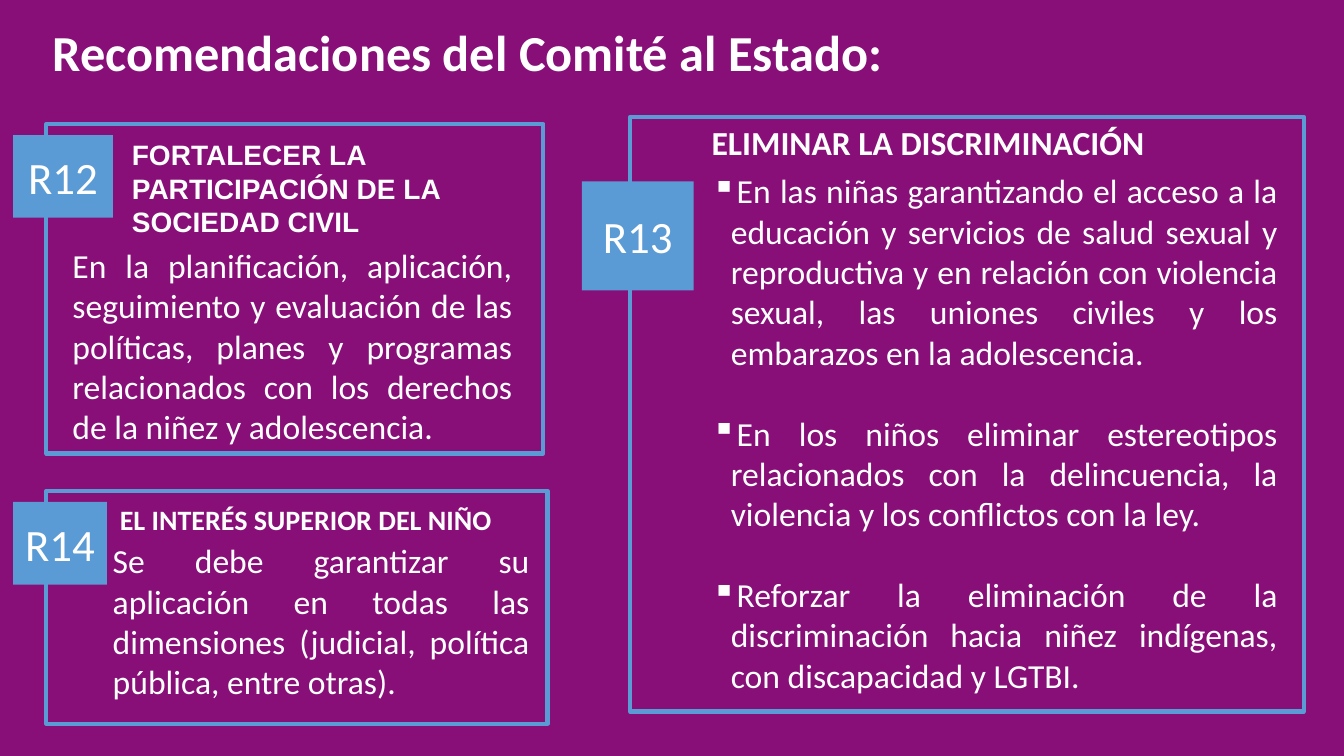
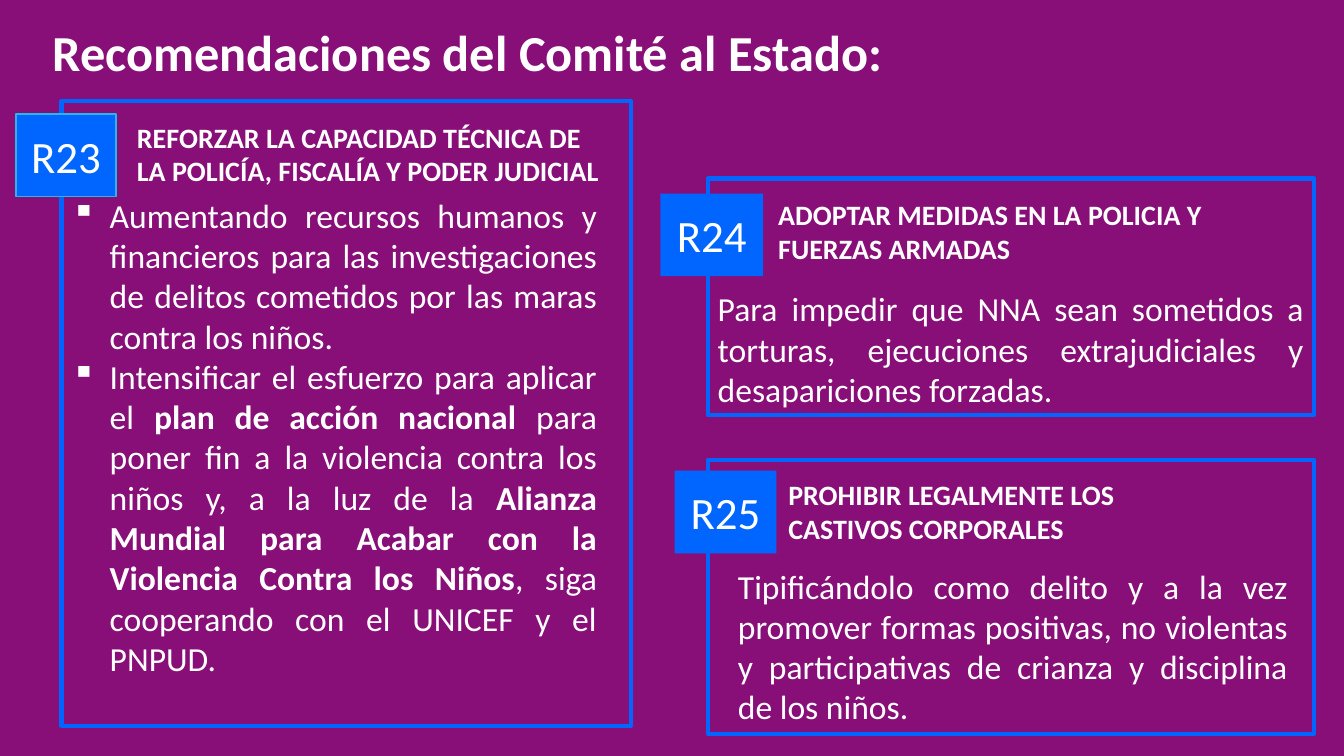
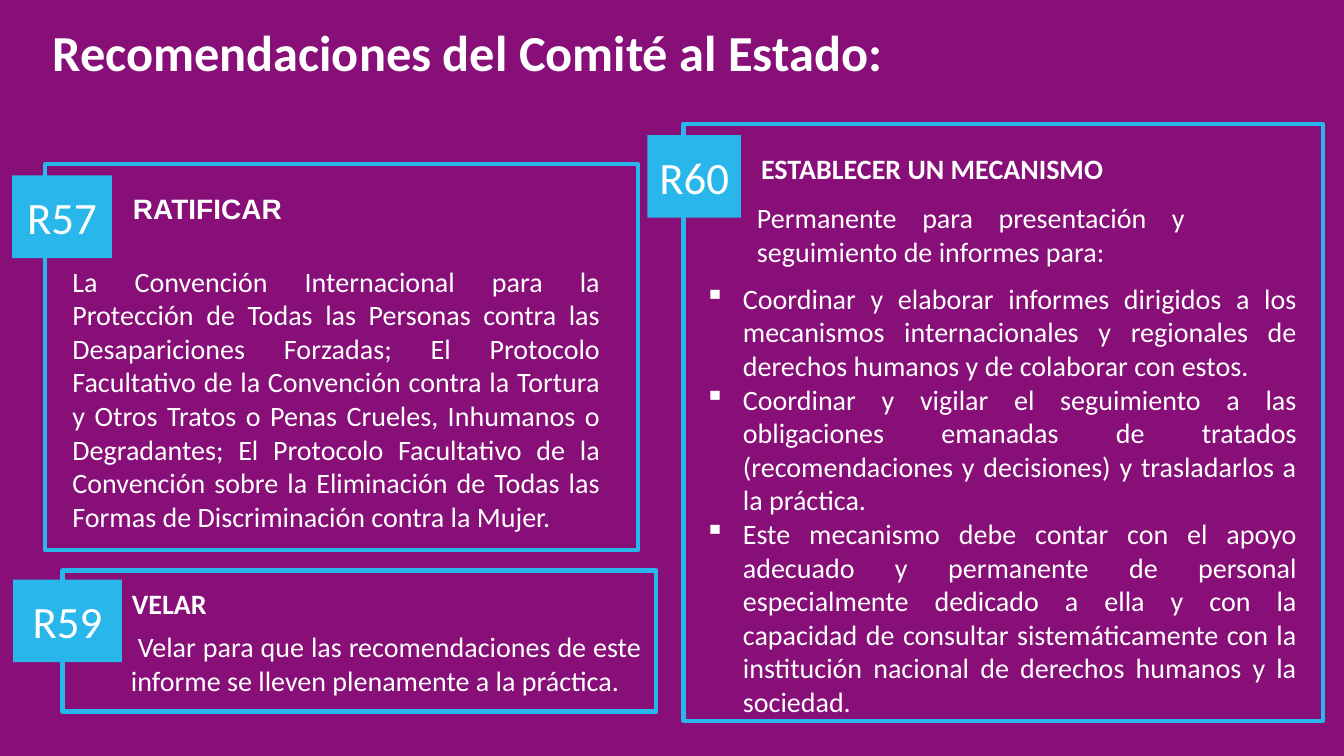
from dataclasses import dataclass

from lxml import etree
from pptx import Presentation
from pptx.dml.color import RGBColor
from pptx.enum.shapes import MSO_SHAPE
from pptx.enum.text import MSO_ANCHOR, MSO_AUTO_SIZE, PP_ALIGN
from pptx.oxml.ns import qn
from pptx.util import Inches, Pt

RECTANGLE = MSO_SHAPE.RECTANGLE
TOP, MIDDLE = MSO_ANCHOR.TOP, MSO_ANCHOR.MIDDLE
LEFT, CENTER, JUSTIFY = PP_ALIGN.LEFT, PP_ALIGN.CENTER, PP_ALIGN.JUSTIFY
NO_AUTOFIT = MSO_AUTO_SIZE.NONE

COLORS = {
    "background": "880E78",
    "text": "FFFFFF",
    "steel": "5B9BD5",
    "blue": "0066FF",
    "sky": "29B7EB",
}
TITLE = "Recomendaciones del Comité al Estado:"
TITLE_BOX = (0.42, 0.16, 9, 0.71)
TITLE_LAYOUT = 5
BOLD_MARK = "**"


@dataclass
class Body:
    box: tuple
    paragraphs: list
    size: int = 24
    indent: float = 0
    gap: float = 0


@dataclass
class Card:
    box: tuple
    code: str
    badge: tuple
    heading: str
    heading_box: tuple
    bodies: list
    heading_font: str = "Calibri"
    heading_size: int = 20
    badge_line: str = ""


def color(name):
    return RGBColor.from_string(COLORS[name])


def inches(box):
    return [Inches(value) for value in box]


def inside(card, box):
    left, top, width, height = box
    return card.box[0] + left, card.box[1] + top, width, height


def style(paragraph, size, font="Calibri", bold=False, align=LEFT):
    paragraph.alignment = align
    paragraph.font.name = font
    paragraph.font.size = Pt(size)
    paragraph.font.bold = bold
    paragraph.font.color.rgb = color("text")


def add_bullet(paragraph, indent):
    properties = paragraph._p.get_or_add_pPr()
    properties.set("marL", str(Inches(indent)))
    properties.set("indent", str(-Inches(indent)))
    etree.SubElement(properties, qn("a:buChar")).set("char", "▪")


def add_rectangle(slide, box):
    shape = slide.shapes.add_shape(RECTANGLE, *inches(box))
    shape.shadow.inherit = False
    return shape


def add_text_frame(slide, box, anchor):
    frame = slide.shapes.add_textbox(*inches(box)).text_frame
    frame.word_wrap = True
    frame.vertical_anchor = anchor
    return frame


def add_frame(slide, box, accent):
    shape = add_rectangle(slide, box)
    shape.fill.background()
    shape.line.color.rgb = color(accent)
    shape.line.width = Pt(3)


def add_badge(slide, card, accent):
    shape = add_rectangle(slide, inside(card, card.badge))
    shape.fill.solid()
    shape.fill.fore_color.rgb = color(accent)
    if card.badge_line:
        shape.line.color.rgb = color(card.badge_line)
        shape.line.width = Pt(1)
    else:
        shape.line.fill.background()
    shape.text_frame.vertical_anchor = MIDDLE
    paragraph = shape.text_frame.paragraphs[0]
    paragraph.text = card.code
    style(paragraph, 32, align=CENTER)


def add_heading(slide, card):
    frame = add_text_frame(slide, inside(card, card.heading_box), MIDDLE)
    paragraph = frame.paragraphs[0]
    paragraph.text = card.heading
    style(paragraph, card.heading_size, card.heading_font, bold=True)


def add_body(slide, card, body):
    frame = add_text_frame(slide, inside(card, body.box), TOP)
    for index, text in enumerate(body.paragraphs):
        paragraph = frame.add_paragraph() if index else frame.paragraphs[0]
        if body.indent:
            add_bullet(paragraph, body.indent)
        if index and body.gap:
            paragraph.space_before = Pt(body.gap)
        style(paragraph, body.size, align=JUSTIFY)
        for position, part in enumerate(text.split(BOLD_MARK)):
            run = paragraph.add_run()
            run.text = part
            if position % 2:
                run.font.bold = True


def add_card(slide, card, accent):
    add_frame(slide, card.box, accent)
    add_badge(slide, card, accent)
    add_heading(slide, card)
    for body in card.bodies:
        add_body(slide, card, body)


def add_title(slide):
    title = slide.shapes.title
    title.left, title.top, title.width, title.height = inches(TITLE_BOX)
    frame = title.text_frame
    frame.auto_size = NO_AUTOFIT
    frame.vertical_anchor = TOP
    paragraph = frame.paragraphs[0]
    paragraph.text = TITLE
    style(paragraph, 36, bold=True)


def add_recommendations(presentation, accent, cards):
    slide = presentation.slides.add_slide(presentation.slide_layouts[TITLE_LAYOUT])
    add_title(slide)
    for card in cards:
        add_card(slide, card, accent)


PARTICIPATION = Card(
    (0.46, 1.23, 4.93, 3.27), "R12", (-0.33, 0.11, 0.99, 0.82),
    "FORTALECER LA PARTICIPACIÓN DE LA SOCIEDAD CIVIL",
    (0.75, 0.08, 3.97, 1.11),
    [Body((0.16, 1.15, 4.56, 2.12), [
        "En la planificación, aplicación, seguimiento y evaluación de las políticas, "
        "planes y programas relacionados con los derechos de la niñez y adolescencia.",
    ])],
    heading_font="Arial",
)
DISCRIMINATION = Card(
    (6.25, 1.16, 6.68, 5.9), "R13", (-0.48, 0.64, 1.11, 1.08),
    "ELIMINAR LA DISCRIMINACIÓN", (0.71, 0, 5.34, 0.5),
    [Body((0.71, 0.48, 5.81, 5.35), [
        "En las niñas garantizando el acceso a la educación y servicios de salud sexual "
        "y reproductiva y en relación con violencia sexual, las uniones civiles y los "
        "embarazos en la adolescencia.",
        "En los niños eliminar estereotipos relacionados con la delincuencia, la "
        "violencia y los conflictos con la ley.",
        "Reforzar la eliminación de la discriminación hacia niñez indígenas, con "
        "discapacidad y LGTBI.",
    ], indent=0.19, gap=29)],
    heading_size=24,
)
BEST_INTEREST = Card(
    (0.46, 4.87, 4.97, 2.31), "R14", (-0.33, 0.11, 0.93, 0.82),
    "EL INTERÉS SUPERIOR DEL NIÑO", (0.63, 0.06, 4.01, 0.44),
    [Body((0.56, 0.44, 4.33, 1.72), [
        "Se debe garantizar su aplicación en todas las dimensiones (judicial, política "
        "pública, entre otras).",
    ])],
)
JUSTICE_CAPACITY = Card(
    (0.61, 1, 5.65, 6.2), "R23", (-0.45, 0.13, 0.99, 0.82),
    "REFORZAR LA CAPACIDAD TÉCNICA DE LA POLICÍA, FISCALÍA Y PODER JUDICIAL",
    (0.65, 0.14, 4.84, 0.77),
    [Body((0, 0.88, 5.41, 4.95), [
        "Aumentando recursos humanos y financieros para las investigaciones de delitos "
        "cometidos por las maras contra los niños.",
        "Intensificar el esfuerzo para aplicar el **plan de acción nacional **para poner "
        "fin a la violencia contra los niños y, a la luz de la **Alianza Mundial para "
        "Acabar con la Violencia Contra los Niños**, siga cooperando con el UNICEF y el "
        "PNPUD.",
    ], indent=0.38)],
    badge_line="sky",
)
ARMED_FORCES = Card(
    (7.02, 1.77, 6.01, 2.35), "R24", (-0.47, 0.15, 1.02, 0.82),
    "ADOPTAR MEDIDAS EN LA POLICIA Y FUERZAS ARMADAS", (0.6, 0.14, 5.3, 0.77),
    [Body((0, 1.04, 6.01, 1.31), [
        "Para impedir que NNA sean sometidos a torturas, ejecuciones extrajudiciales y "
        "desapariciones forzadas.",
    ])],
)
CORPORAL_PUNISHMENT = Card(
    (7.02, 4.56, 6.01, 2.72), "R25", (-0.33, 0.11, 1.01, 0.82),
    "PROHIBIR LEGALMENTE LOS CASTIVOS CORPORALES", (0.7, 0.13, 4.27, 0.77),
    [Body((0.2, 1, 5.65, 1.72), [
        "Tipificándolo como delito y a la vez promover formas positivas, no violentas y "
        "participativas de crianza y disciplina de los niños.",
    ])],
)
RATIFICATION = Card(
    (0.45, 1.63, 5.88, 3.83), "R57", (-0.33, 0.11, 0.99, 0.82),
    "RATIFICAR", (0.77, 0.22, 4.79, 0.44),
    [Body((0.17, 0.94, 5.43, 2.79), [
        "La Convención Internacional para la Protección de Todas las Personas contra las "
        "Desapariciones Forzadas; El Protocolo Facultativo de la Convención contra la "
        "Tortura y Otros Tratos o Penas Crueles, Inhumanos o Degradantes; El Protocolo "
        "Facultativo de la Convención sobre la Eliminación de Todas las Formas de "
        "Discriminación contra la Mujer.",
    ], size=20)],
    heading_font="Arial",
)
OVERSIGHT = Card(
    (0.62, 5.66, 5.89, 1.4), "R59", (-0.49, 0.09, 1.08, 0.82),
    "VELAR", (0.59, 0.11, 3.97, 0.44),
    [Body((0.58, 0.54, 5.26, 0.77), [
        " Velar para que las recomendaciones de este informe se lleven plenamente a la "
        "práctica.",
    ], size=20)],
)
MECHANISM = Card(
    (6.78, 1.23, 6.34, 5.92), "R60", (-0.36, 0.11, 0.93, 0.82),
    "ESTABLECER UN MECANISMO", (0.67, 0.22, 4.27, 0.44),
    [
        Body((0.63, 0.71, 4.44, 0.77), [
            "Permanente para presentación y seguimiento de informes para:",
        ], size=20),
        Body((0.11, 1.51, 6.07, 4.48), [
            "Coordinar y elaborar informes dirigidos a los mecanismos internacionales y "
            "regionales de derechos humanos y de colaborar con estos.",
            "Coordinar y vigilar el seguimiento a las obligaciones emanadas de tratados "
            "(recomendaciones y decisiones) y trasladarlos a la práctica.",
            "Este mecanismo debe contar con el apoyo adecuado y permanente de personal "
            "especialmente dedicado a ella y con la capacidad de consultar "
            "sistemáticamente con la institución nacional de derechos humanos y la "
            "sociedad.",
        ], size=20, indent=0.38),
    ],
)
SLIDES = [
    ("steel", [PARTICIPATION, DISCRIMINATION, BEST_INTEREST]),
    ("blue", [JUSTICE_CAPACITY, ARMED_FORCES, CORPORAL_PUNISHMENT]),
    ("sky", [RATIFICATION, OVERSIGHT, MECHANISM]),
]


def main():
    presentation = Presentation()
    presentation.slide_width = Inches(13.33)
    presentation.slide_height = Inches(7.5)
    background = presentation.slide_master.background.fill
    background.solid()
    background.fore_color.rgb = color("background")
    for accent, cards in SLIDES:
        add_recommendations(presentation, accent, cards)
    presentation.save("out.pptx")


if __name__ == "__main__":
    main()
